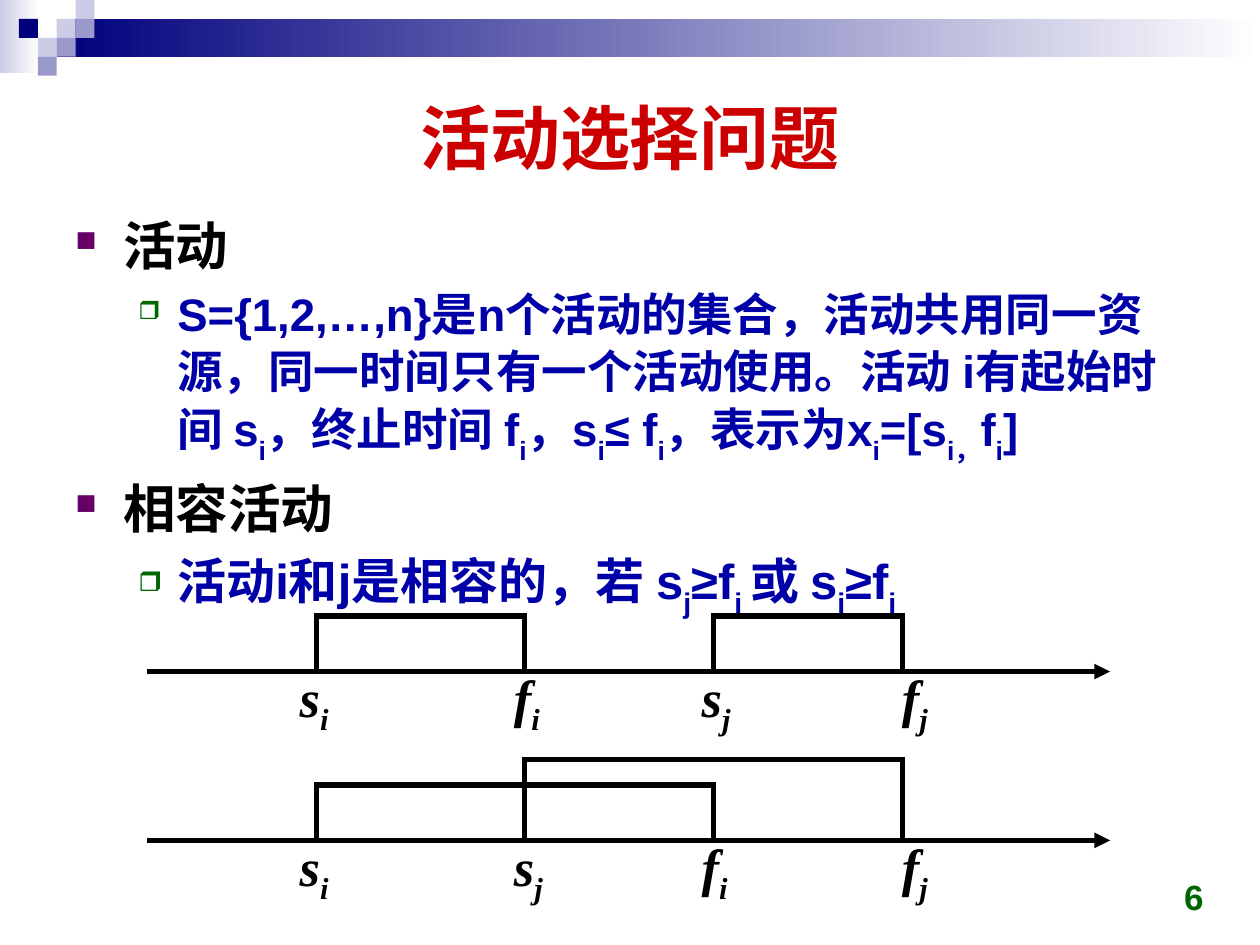
from dataclasses import dataclass

from lxml import etree
from pptx import Presentation
from pptx.dml.color import RGBColor
from pptx.enum.shapes import MSO_CONNECTOR, MSO_SHAPE
from pptx.enum.text import MSO_ANCHOR, MSO_AUTO_SIZE, PP_ALIGN
from pptx.oxml.ns import qn
from pptx.util import Inches, Pt

RECTANGLE = MSO_SHAPE.RECTANGLE
STRAIGHT = MSO_CONNECTOR.STRAIGHT
TOP, MIDDLE, BOTTOM = MSO_ANCHOR.TOP, MSO_ANCHOR.MIDDLE, MSO_ANCHOR.BOTTOM
LEFT, CENTER, RIGHT = PP_ALIGN.LEFT, PP_ALIGN.CENTER, PP_ALIGN.RIGHT


@dataclass(frozen=True)
class Theme:
    """Colours, fonts and type sizes of the slide."""
    navy: str = "00007D"
    lavender: str = "9999CC"
    pale: str = "CCCCE6"
    white: str = "FFFFFF"
    black: str = "000000"
    red: str = "CC0000"
    blue: str = "0000A8"
    purple: str = "660066"
    green: str = "006600"
    sans: str = "Arial"
    serif: str = "Times New Roman"
    title_size: int = 40
    heading_size: int = 30
    label_size: int = 30
    number_size: int = 20
    line_width: int = 3


THEME = Theme()
# Bullet levels: character, colour, left margin, hanging indent
LEVELS = [("■", THEME.purple, 0.38, 0.38), ("❒", THEME.green, 0.81, 0.31)]
# Text marked with _ on both sides is set as a subscript
BODY = [
    (0, THEME.heading_size, THEME.black, "活动"),
    (1, 26, THEME.blue,
     "S={1,2,…,n}是n个活动的集合，活动共用同一资源，同一时间只有一个活动使用。"
     "活动 i有起始时间 s_i_，终止时间 f_i_，s_i_≤ f_i_，表示为x_i_=[s_i，_f_i_] "),
    (0, THEME.heading_size, THEME.black, "相容活动"),
    (1, 28, THEME.blue, "活动i和j是相容的，若 s_j_≥f_i _或 s_i_≥f_j_"),
]
TICKS = [1.34, 2.99, 4.49, 5.99]
LABEL_SHIFTS = [-0.23, -0.18, -0.19, -0.1]


def set_values(target, values):
    """Set each named attribute of target."""
    for name, value in values.items():
        setattr(target, name, value)


def add_runs(paragraph, text, size, color, font=THEME.sans, italic=False, drop=-30):
    """Add bold text whose marked parts are subscripts."""
    for index, part in enumerate(text.split("_")):
        if not part:
            continue
        run = paragraph.add_run()
        run.text = part
        set_values(run.font, {"size": Pt(size), "name": font, "bold": True, "italic": italic})
        run.font.color.rgb = RGBColor.from_string(color)
        if index % 2:
            run.font._element.set("baseline", str(drop * 1000))


def add_frame(slide, left, top, width, height, anchor=TOP, wrap=True):
    """Add a text box and return its text frame."""
    box = slide.shapes.add_textbox(Inches(left), Inches(top), Inches(width), Inches(height))
    set_values(box.text_frame, {"word_wrap": wrap, "vertical_anchor": anchor})
    return box.text_frame


def add_text(slide, box, text, size, color, anchor, align):
    """Add one aligned line of text in a box."""
    paragraph = add_frame(slide, *box, anchor).paragraphs[0]
    paragraph.alignment = align
    add_runs(paragraph, text, size, color)


def add_block(slide, left, top, width, height, color, end_color=None):
    """Add a rectangle, plain or fading to end_color."""
    shape = slide.shapes.add_shape(
        RECTANGLE, Inches(left), Inches(top), Inches(width), Inches(height))
    shape.shadow.inherit = False
    shape.line.fill.background()
    if end_color is None:
        shape.fill.solid()
        shape.fill.fore_color.rgb = RGBColor.from_string(color)
        return
    shape.fill.gradient()
    shape.fill.gradient_angle = 0
    for stop, stop_color in zip(shape.fill.gradient_stops, (color, end_color)):
        stop.color.rgb = RGBColor.from_string(stop_color)


def add_banner(slide, left, top, width):
    """Draw the fading bar and its mosaic of small squares."""
    cell = 0.15
    add_block(slide, left, top, 0.31, 0.58, THEME.pale, THEME.white)
    add_block(slide, left + 3 * cell, top + cell, width - 3 * cell, 2 * cell,
              THEME.navy, THEME.white)
    mosaic = [(3, 1, THEME.pale), (4, 0, THEME.pale), (4, 1, THEME.lavender),
              (2, 2, THEME.pale), (1, 1, THEME.navy), (3, 2, THEME.lavender),
              (2, 3, THEME.lavender)]
    for column, row, color in mosaic:
        add_block(slide, left + column * cell, top + row * cell, cell, cell, color)


def add_bullet(paragraph, level):
    """Give a paragraph the indent and bullet of its level."""
    character, color, margin, hanging = LEVELS[level]
    properties = paragraph._p.get_or_add_pPr()
    properties.set("marL", str(Inches(margin)))
    properties.set("indent", str(-Inches(hanging)))
    bullet_color = etree.SubElement(properties, qn("a:buClr"))
    etree.SubElement(bullet_color, qn("a:srgbClr")).set("val", color)
    etree.SubElement(properties, qn("a:buSzPct")).set("val", "55000")
    etree.SubElement(properties, qn("a:buChar")).set("char", character)


def add_body(slide, left, top, width, height):
    """Write the bulleted definitions."""
    frame = add_frame(slide, left, top, width, height)
    for index, (level, size, color, text) in enumerate(BODY):
        paragraph = frame.add_paragraph() if index else frame.paragraphs[0]
        set_values(paragraph, {"level": level, "alignment": LEFT, "line_spacing": 1.05,
                               "space_before": Pt(size * 0.15)})
        add_bullet(paragraph, level)
        add_runs(paragraph, text, size, color)


def add_line(slide, x1, y1, x2, y2, arrow=False):
    """Draw a straight line, with an arrowhead at its end if asked."""
    line = slide.shapes.add_connector(
        STRAIGHT, Inches(x1), Inches(y1), Inches(x2), Inches(y2))
    line.line.width = Pt(THEME.line_width)
    line.line.color.rgb = RGBColor.from_string(THEME.black)
    if arrow:
        etree.SubElement(line.line._get_or_add_ln(), qn("a:tailEnd")).set("type", "triangle")
    etree.SubElement(line._element.spPr, qn("a:effectLst"))


def add_timeline(slide, left, axis, width, labels, brackets):
    """Draw a time axis with intervals (first tick, last tick, height) and labels."""
    overhang = 0.02
    add_line(slide, left, axis, left + width, axis, arrow=True)
    for first, last, height in brackets:
        start, end = left + TICKS[first], left + TICKS[last]
        add_line(slide, start - overhang, axis - height, end + overhang, axis - height)
        for x in (start, end):
            add_line(slide, x, axis - height, x, axis)
    for tick, shift, label in zip(TICKS, LABEL_SHIFTS, labels):
        frame = add_frame(slide, left + tick + shift, axis - 0.1, 0.44, 0.61, wrap=False)
        frame.auto_size = MSO_AUTO_SIZE.SHAPE_TO_FIT_TEXT
        add_runs(frame.paragraphs[0], label, THEME.label_size, THEME.black,
                 THEME.serif, italic=True, drop=-25)


def build():
    """Build and save the slide."""
    presentation = Presentation()
    set_values(presentation, {"slide_width": Inches(10), "slide_height": Inches(7.5)})
    slide = presentation.slides.add_slide(presentation.slide_layouts[6])
    add_banner(slide, 0, 0, 10)
    add_text(slide, (0.5, 0.5, 9, 1.16), "活动选择问题", THEME.title_size, THEME.red,
             MIDDLE, CENTER)
    add_body(slide, 0.5, 1.62, 9, 5.2)
    add_text(slide, (7.32, 6.83, 2.33, 0.5), "6", THEME.number_size, THEME.green,
             BOTTOM, RIGHT)
    add_timeline(slide, 1.17, 5.33, 7.64, ["s_i_", "f_i_", "s_j_", "f_j_"],
                 [(0, 1, 0.44), (2, 3, 0.44)])
    add_timeline(slide, 1.17, 6.67, 7.64, ["s_i_", "s_j_", "f_i_", "f_j_"],
                 [(0, 2, 0.44), (1, 3, 0.64)])
    presentation.save("out.pptx")


build()
